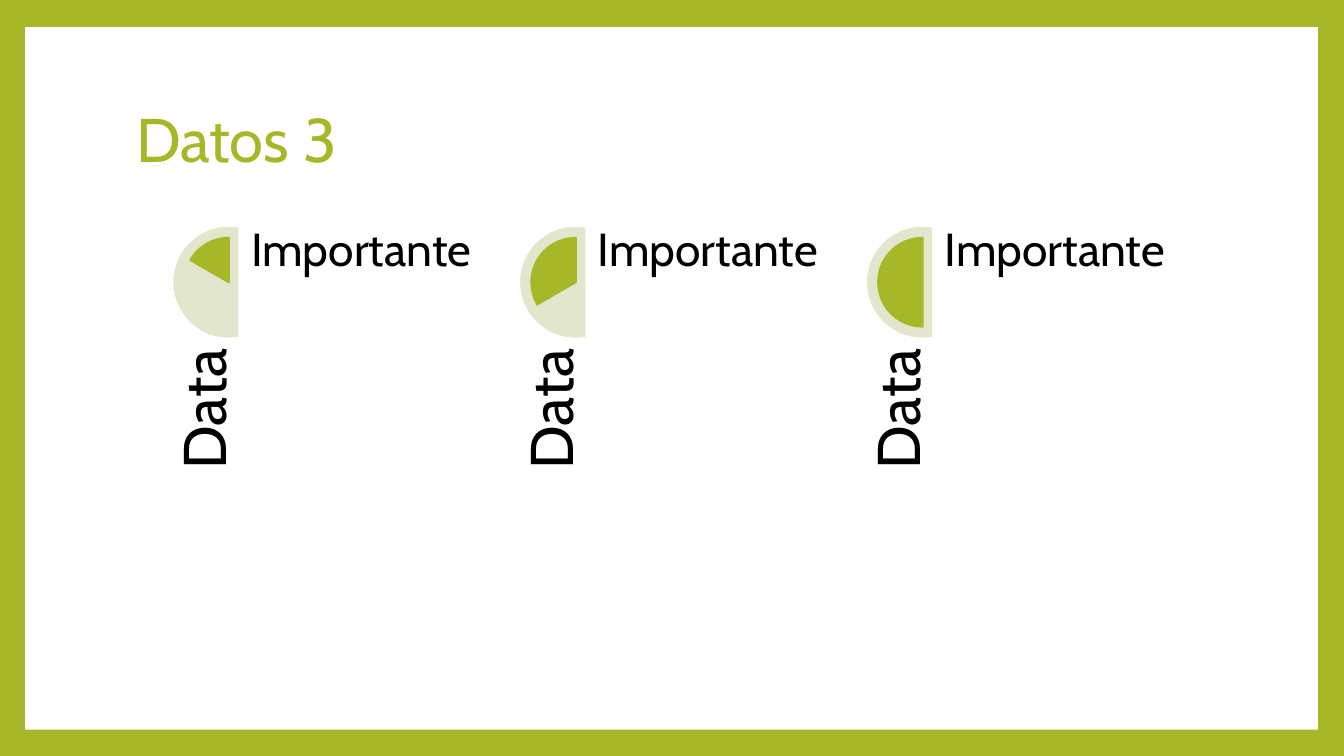
from pptx import Presentation
from pptx.dml.color import RGBColor
from pptx.enum.shapes import MSO_SHAPE
from pptx.enum.text import MSO_ANCHOR, PP_ALIGN
from pptx.util import Inches, Pt

GREEN = RGBColor(0xA6, 0xB7, 0x27)
PALE_GREEN = RGBColor(0xE1, 0xE6, 0xCD)
WHITE = RGBColor(0xFF, 0xFF, 0xFF)
BLACK = RGBColor(0x00, 0x00, 0x00)

FIRST_LEFT, TOP, COLUMN_STEP = 1.72, 2.25, 3.44
DIAL_SIZE, PIE_INSET = 1.1, 0.11
PIE_SIZE = DIAL_SIZE - 2 * PIE_INSET
ANGLE_UNIT = 0.6  # adjustment value of one degree


def add_filled_shape(shapes, kind, left, top, width, height, color, angles=()):
    shape = shapes.add_shape(kind, Inches(left), Inches(top), Inches(width), Inches(height))
    shape.shadow.inherit = False
    shape.fill.solid()
    shape.fill.fore_color.rgb = color
    shape.line.fill.background()
    for index, angle in enumerate(angles):
        shape.adjustments[index] = angle * ANGLE_UNIT
    return shape


def write_text(shape, text, size, color, anchor, alignment):
    frame = shape.text_frame
    frame.word_wrap = True
    frame.vertical_anchor = anchor
    paragraph = frame.paragraphs[0]
    paragraph.alignment = alignment
    paragraph.line_spacing = 0.9
    run = paragraph.add_run()
    run.text = text
    run.font.name = "Cabin"
    run.font.size = Pt(size)
    run.font.color.rgb = color


presentation = Presentation()
presentation.slide_width = Inches(13.33)
presentation.slide_height = Inches(7.5)
slide = presentation.slides.add_slide(presentation.slide_layouts[5])
slide.background.fill.solid()
slide.background.fill.fore_color.rgb = GREEN

panel = add_filled_shape(slide.shapes, MSO_SHAPE.RECTANGLE, 0.25, 0.27, 12.82, 6.97, WHITE)
title = slide.shapes.title
panel.element.addnext(title.element)
title.left, title.top = Inches(1.25), Inches(0.67)
title.width, title.height = Inches(10.8), Inches(1.48)
write_text(title, "Datos 3", 44, GREEN, MSO_ANCHOR.MIDDLE, PP_ALIGN.LEFT)

# Each pie runs from its start angle to 270 degrees
for column, start_angle in enumerate((210, 150, 90)):
    left = FIRST_LEFT + column * COLUMN_STEP
    shapes = slide.shapes.add_group_shape().shapes
    add_filled_shape(shapes, MSO_SHAPE.CHORD, left, TOP, DIAL_SIZE, DIAL_SIZE,
                     PALE_GREEN, (80, 280))
    pie = add_filled_shape(shapes, MSO_SHAPE.PIE, left + PIE_INSET, TOP + PIE_INSET,
                           PIE_SIZE, PIE_SIZE, GREEN, (start_angle, 270))
    pie.line.color.rgb = GREEN
    pie.line.width = Pt(1.5)

    heading = shapes.add_textbox(Inches(left - 1.27), Inches(4.73), Inches(3.2), Inches(0.66))
    heading.rotation = 270
    detail = shapes.add_textbox(Inches(left + 0.77), Inches(TOP), Inches(2.21), Inches(4.42))
    for box in (heading, detail):
        for side in ("left", "top", "right", "bottom"):
            setattr(box.text_frame, f"margin_{side}", 0)
    write_text(heading, "Data", 43, BLACK, MSO_ANCHOR.BOTTOM, PP_ALIGN.RIGHT)
    write_text(detail, "Importante", 33, BLACK, MSO_ANCHOR.TOP, PP_ALIGN.LEFT)

presentation.save("out.pptx")
